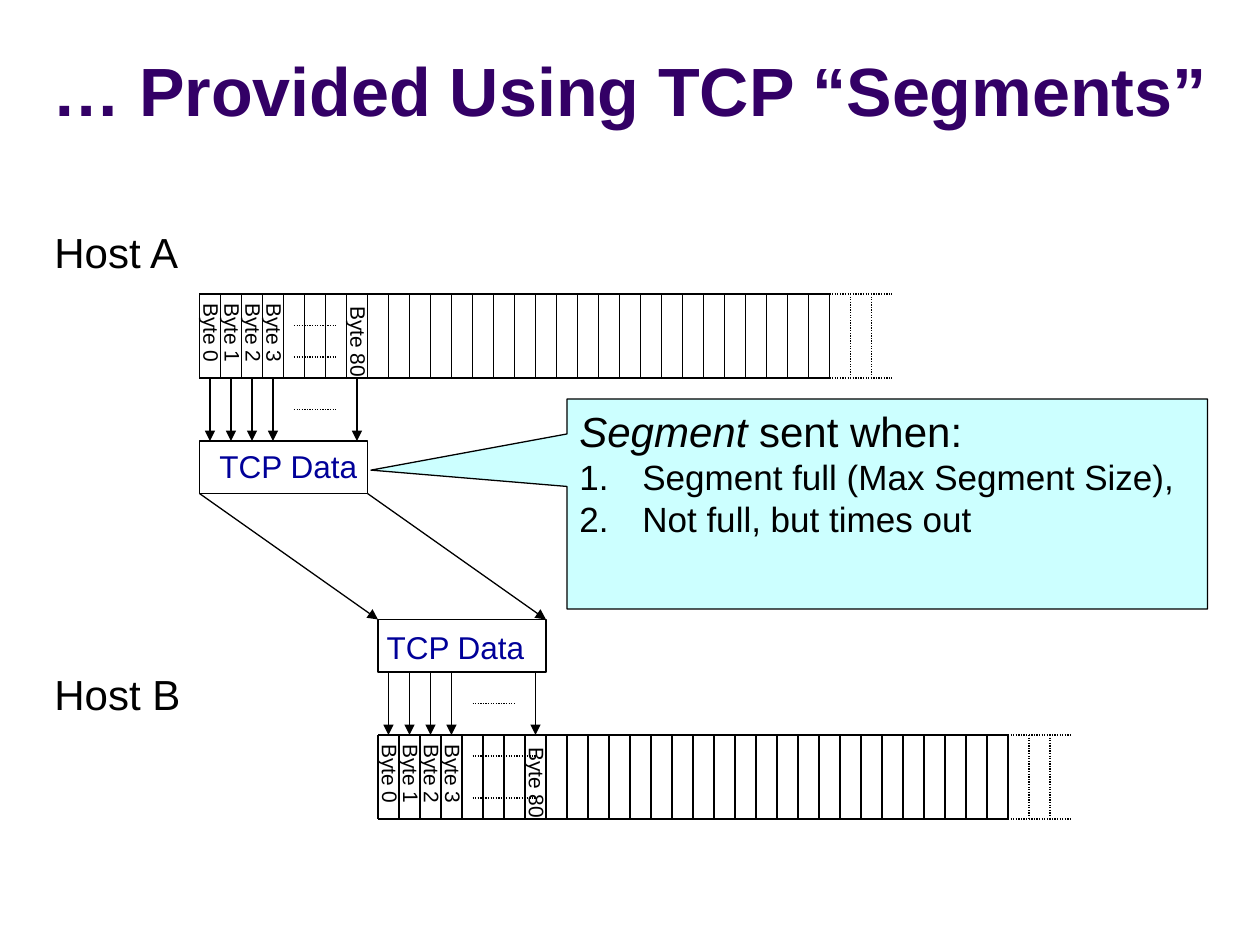
from dataclasses import dataclass

from lxml.etree import SubElement as Sub
from pptx import Presentation as Deck
from pptx.dml.color import RGBColor as Rgb
from pptx.enum.dml import MSO_LINE_DASH_STYLE as Dash
from pptx.enum.shapes import MSO_CONNECTOR_TYPE as Link, MSO_SHAPE as Form
from pptx.enum.text import MSO_ANCHOR as Anchor, PP_ALIGN as Align
from pptx.oxml.ns import qn
from pptx.util import Emu, Inches, Pt

BLACK = Rgb(0x00, 0x00, 0x00)
WHITE = Rgb(0xFF, 0xFF, 0xFF)
PURPLE = Rgb(0x33, 0x00, 0x66)
BLUE = Rgb(0x00, 0x00, 0x99)
CYAN = Rgb(0xCC, 0xFF, 0xFF)

# Grid: square cells, six to the inch; the slide is 60 by 45 cells
CELL = Inches(1) // 6
COLS, ROWS = 60, 45
BYTES, FADE = 30, 33      # solid cells, end of the dotted tail
TALL = 4                  # rows in a byte stream
WIDE, HIGH = 8, 2.5       # size of a segment
NAMED = {0: "Byte 0", 1: "Byte 1", 2: "Byte 2", 3: "Byte 3", 7: "Byte 80"}


@dataclass(frozen=True)
class Dots:
    row: float
    end: float = 6.5
    start: float = 4.5


@dataclass(frozen=True)
class Host:
    name: str
    name_row: float
    left: float
    top: float            # row of the byte stream
    seg: float            # row of the segment
    arrow: float          # row where the byte arrows start
    label: tuple[float, float]  # shift of the segment's label
    dots: tuple[Dots, ...]


@dataclass(frozen=True)
class Part:
    text: str
    size: float
    color: Rgb = BLACK
    bold: bool = False
    slant: bool = False


HOSTS = (
    Host("Host A", 10.5, 9.5, 14, 21, 18, (0.36, 0),
         (Dots(15.5), Dots(17), Dots(19.5))),
    Host("Host B", 31.56, 18, 35, 29.5, 32, (-0.18, 0.12),
         (Dots(36, 7.5), Dots(38, 7.5), Dots(33.5))),
)


def grid(*cells: float) -> list[Emu]:
    return [Emu(round(n * CELL)) for n in cells]


def add_line(slide, x1: float, y1: float, x2: float, y2: float,
             dots: bool = False, arrow: bool = False) -> None:
    link = slide.shapes.add_connector(Link.STRAIGHT, *grid(x1, y1, x2, y2))
    link.line.color.rgb = BLACK
    link.line.width = Pt(0.75)
    if dots:
        link.line.dash_style = Dash.ROUND_DOT
    if arrow:
        Sub(link.line._get_or_add_ln(), qn("a:tailEnd"), type="triangle")
    Sub(link._element.spPr, qn("a:effectLst"))


def add_runs(para, *parts: Part) -> None:
    for part in parts:
        run = para.add_run()
        run.text = part.text
        font = run.font
        font.name, font.size = "Arial", Pt(part.size)
        font.bold, font.italic = part.bold, part.slant
        font.color.rgb = part.color


def add_text(slide, x: float, y: float, wide: float, high: float,
             part: Part, turn: float = 0):
    box = slide.shapes.add_textbox(*grid(x, y, wide, high))
    box.rotation = turn
    box.text_frame.word_wrap = False
    add_runs(box.text_frame.paragraphs[0], part)
    return box


def add_box(slide, form: Form, x: float, y: float,
            wide: float, high: float, fill: Rgb):
    box = slide.shapes.add_shape(form, *grid(x, y, wide, high))
    box.shadow.inherit = False
    box.fill.solid()
    box.fill.fore_color.rgb = fill
    box.line.color.rgb = BLACK
    box.line.width = Pt(0.75)
    return box


def add_stream(slide, host: Host) -> None:
    left, top, base = host.left, host.top, host.top + TALL
    for row in (top, base):
        add_line(slide, left, row, left + BYTES, row)
        add_line(slide, left + BYTES, row, left + FADE, row, dots=True)
    for col in range(FADE):
        add_line(slide, left + col, top, left + col, base, dots=col > BYTES)
    # Byte names run down their cells
    for col, name in NAMED.items():
        wide, drop = (4.62, 2.3) if col == 7 else (4.08, 1.88)
        add_text(slide, left + col + 0.58 - wide / 2, top + drop - 0.9,
                 wide, 1.8, Part(name, 12), 89.8)
    for dots in host.dots:
        add_line(slide, left + dots.start, dots.row,
                 left + dots.end, dots.row, dots=True)


def add_host(slide, host: Host) -> None:
    add_stream(slide, host)
    add_text(slide, 2, host.name_row, 7.2, 3, Part(host.name, 24))
    # Segment and the bytes that enter or leave it
    add_box(slide, Form.RECTANGLE, host.left, host.seg, WIDE, HIGH, WHITE)
    dx, dy = host.label
    add_text(slide, host.left + dx, host.seg + dy, 7.86, 2.4,
             Part("TCP Data", 18, BLUE))
    for col in NAMED:
        x = host.left + col + 0.5
        add_line(slide, x, host.arrow, x, host.arrow + 3, arrow=True)


def add_note(slide) -> None:
    note = add_box(slide, Form.RECTANGULAR_CALLOUT, 27, 19, 30.5, 10, CYAN)
    note.adjustments[0], note.adjustments[1] = -0.806, -0.161
    frame = note.text_frame
    frame.word_wrap = True
    frame.vertical_anchor = Anchor.TOP
    lines = (
        (Part("Segment ", 24, slant=True), Part("sent when:", 24)),
        (Part("Segment full (Max Segment Size),", 20),),
        (Part("Not full, but times out", 20),),
    )
    for rank, parts in enumerate(lines):
        para = frame.add_paragraph() if rank else frame.paragraphs[0]
        para.alignment = Align.LEFT
        add_runs(para, *parts)
        props = para._p.get_or_add_pPr()
        props.set("marL", str(Inches(0.5)))
        props.set("indent", str(-Inches(0.5)))
        if rank:
            Sub(props, qn("a:buFont"), typeface="Arial")
            Sub(props, qn("a:buAutoNum"), type="arabicPeriod")
        else:
            Sub(props, qn("a:buNone"))


def main() -> None:
    deck = Deck()
    deck.slide_width, deck.slide_height = grid(COLS, ROWS)
    slide = deck.slides.add_slide(deck.slide_layouts[6])

    # Title
    title = add_text(slide, 0, 0.8, COLS, 5.7, Part(
        "… Provided Using TCP “Segments”", 39, PURPLE, bold=True))
    title.text_frame.word_wrap = True
    title.text_frame.vertical_anchor = Anchor.BOTTOM
    title.text_frame.paragraphs[0].alignment = Align.CENTER

    for host in HOSTS:
        add_host(slide, host)

    # The segment travels from the sender to the receiver
    src, dest = HOSTS
    for side in (0, WIDE):
        add_line(slide, src.left + side, src.seg + HIGH,
                 dest.left + side, dest.seg, arrow=True)
    add_note(slide)
    deck.save("out.pptx")


if __name__ == "__main__":
    main()
